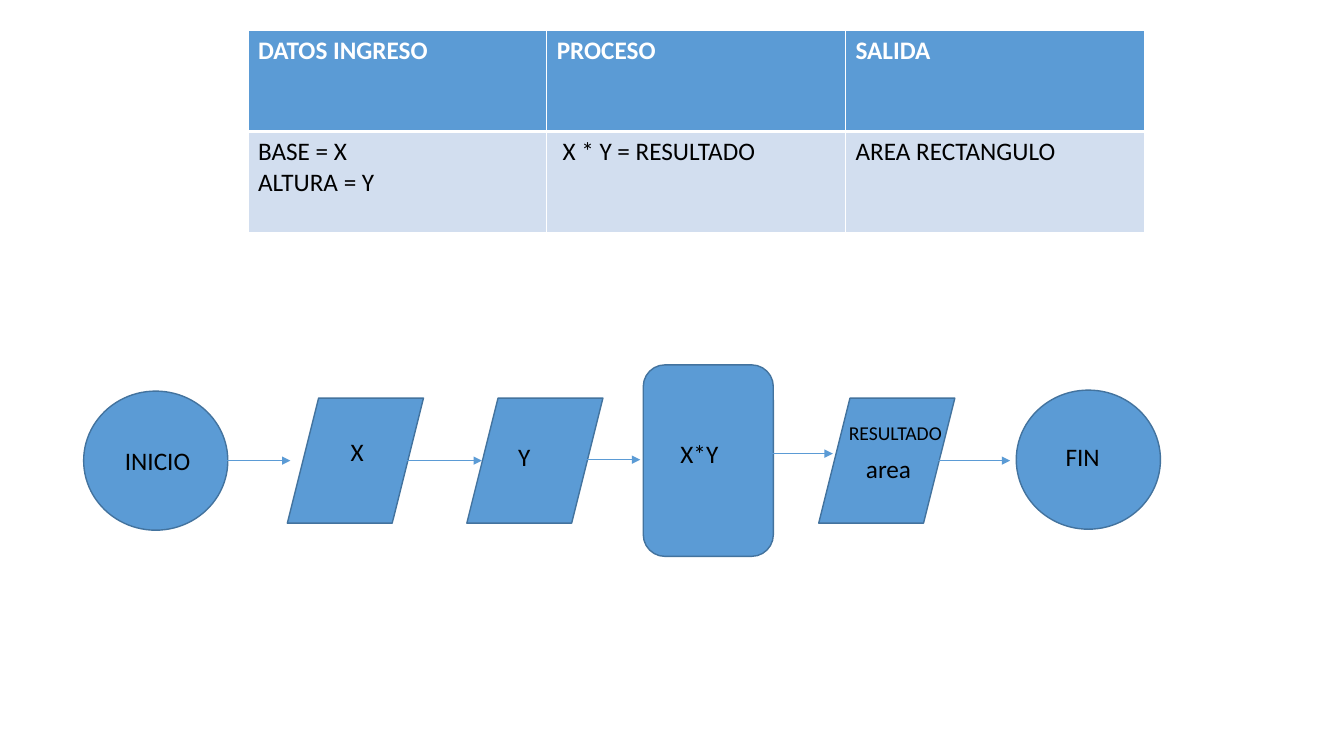
from lxml import etree
from pptx import Presentation
from pptx.dml.color import RGBColor
from pptx.enum.shapes import MSO_CONNECTOR, MSO_SHAPE
from pptx.enum.text import MSO_AUTO_SIZE
from pptx.oxml.ns import qn
from pptx.util import Inches, Pt

STRAIGHT = MSO_CONNECTOR.STRAIGHT
ELLIPSE = MSO_SHAPE.OVAL
PARALLELOGRAM = MSO_SHAPE.PARALLELOGRAM
ROUNDED = MSO_SHAPE.ROUNDED_RECTANGLE
GROW = MSO_AUTO_SIZE.SHAPE_TO_FIT_TEXT

COLORS = {
    "blue": "5B9BD5",
    "outline": "43739E",
    "band": "D2DEEF",
    "white": "FFFFFF",
    "black": "000000",
}
FONT = "Calibri"


def color(name):
    return RGBColor.from_string(COLORS[name])


class FlowSlide:
    """Holds the style and the slide being drawn."""

    def __init__(self, slide):
        self.shapes = slide.shapes

    def add_lines(self, frame, lines, ink="black", size=18, bold=False):
        formats = {"name": FONT, "size": Pt(size), "bold": bold}
        for index, line in enumerate(lines):
            para = frame.paragraphs[0] if index == 0 else frame.add_paragraph()
            span = para.add_run()
            span.text = line
            for key, value in formats.items():
                setattr(span.font, key, value)
            span.font.color.rgb = color(ink)

    def label(self, text, left, top, width=1.78, height=0.4, size=18):
        box = self.shapes.add_textbox(*map(Inches, (left, top, width, height)))
        for key, value in {"word_wrap": True, "auto_size": GROW}.items():
            setattr(box.text_frame, key, value)
        self.add_lines(box.text_frame, [text], size=size)

    def node(self, kind, left, top, width, height):
        shape = self.shapes.add_shape(kind, *map(Inches, (left, top, width, height)))
        shape.shadow.inherit = False
        shape.fill.solid()
        shape.fill.fore_color.rgb = color("blue")
        shape.line.color.rgb = color("outline")
        shape.line.width = Pt(1)

    def arrow(self, left, top, length=0.74):
        ends = map(Inches, (left, top, left + length, top))
        connector = self.shapes.add_connector(STRAIGHT, *ends)
        connector.line.color.rgb = color("blue")
        connector.line.width = Pt(0.5)
        properties = connector._element.spPr
        etree.SubElement(properties.find(qn("a:ln")), qn("a:tailEnd"), type="triangle")
        etree.SubElement(properties, qn("a:effectLst"))

    def borders(self, cell, widths):
        properties = cell._tc.get_or_add_tcPr()
        for index, (side, width) in enumerate(widths.items()):
            line = etree.Element(qn(f"a:ln{side}"), w=str(Pt(width)))
            fill = etree.SubElement(line, qn("a:solidFill"))
            etree.SubElement(fill, qn("a:srgbClr"), val=COLORS["white"])
            properties.insert(index, line)

    def table(self, rows, left, top, width, height):
        frame = self.shapes.add_table(
            len(rows), len(rows[0]), *map(Inches, (left, top, width, height)))
        for row_index, row in enumerate(rows):
            header = row_index == 0
            for column_index, lines in enumerate(row):
                cell = frame.table.cell(row_index, column_index)
                cell.fill.solid()
                cell.fill.fore_color.rgb = color("blue" if header else "band")
                self.add_lines(cell.text_frame, lines,
                               ink="white" if header else "black", bold=header)
                self.borders(cell, {"L": 1, "R": 1, "T": 1 if header else 3,
                                    "B": 3 if header else 1})


def main():
    deck = Presentation()
    deck.slide_width, deck.slide_height = Inches(13.33), Inches(7.5)
    page = FlowSlide(deck.slides.add_slide(deck.slide_layouts[6]))

    # Input, process and output table
    page.table([
        [["DATOS INGRESO"], ["PROCESO"], ["SALIDA"]],
        [["BASE = X", "ALTURA = Y"], [" X * Y = RESULTADO"], ["AREA RECTANGULO"]],
    ], 2.46, 0.3, 8.89, 2.01)

    # Flowchart nodes
    for left, top in ((0.83, 3.88), (10.08, 3.87)):
        page.node(ELLIPSE, left, top, 1.43, 1.38)
    for left in (2.85, 4.63, 8.12):
        page.node(PARALLELOGRAM, left, 3.95, 1.35, 1.24)
    page.node(ROUNDED, 6.38, 3.62, 1.29, 1.9)

    # Node labels
    for text, left, top in (
        ("INICIO", 1.14, 4.37),
        ("X", 3.38, 4.28),
        ("Y", 5.04, 4.33),
        ("X*Y", 6.65, 4.3),
        ("FIN", 10.47, 4.33),
    ):
        page.label(text, left, top)
    page.label("RESULTADO", 8.32, 4.13, height=0.34, size=14)

    # Arrows from node to node
    for left, top in ((2.14, 4.57), (4.04, 4.57), (5.61, 4.56), (7.52, 4.5), (9.28, 4.57)):
        page.arrow(left, top)
    page.label("area", 8.49, 4.45, width=2.68)

    deck.save("out.pptx")


if __name__ == "__main__":
    main()
